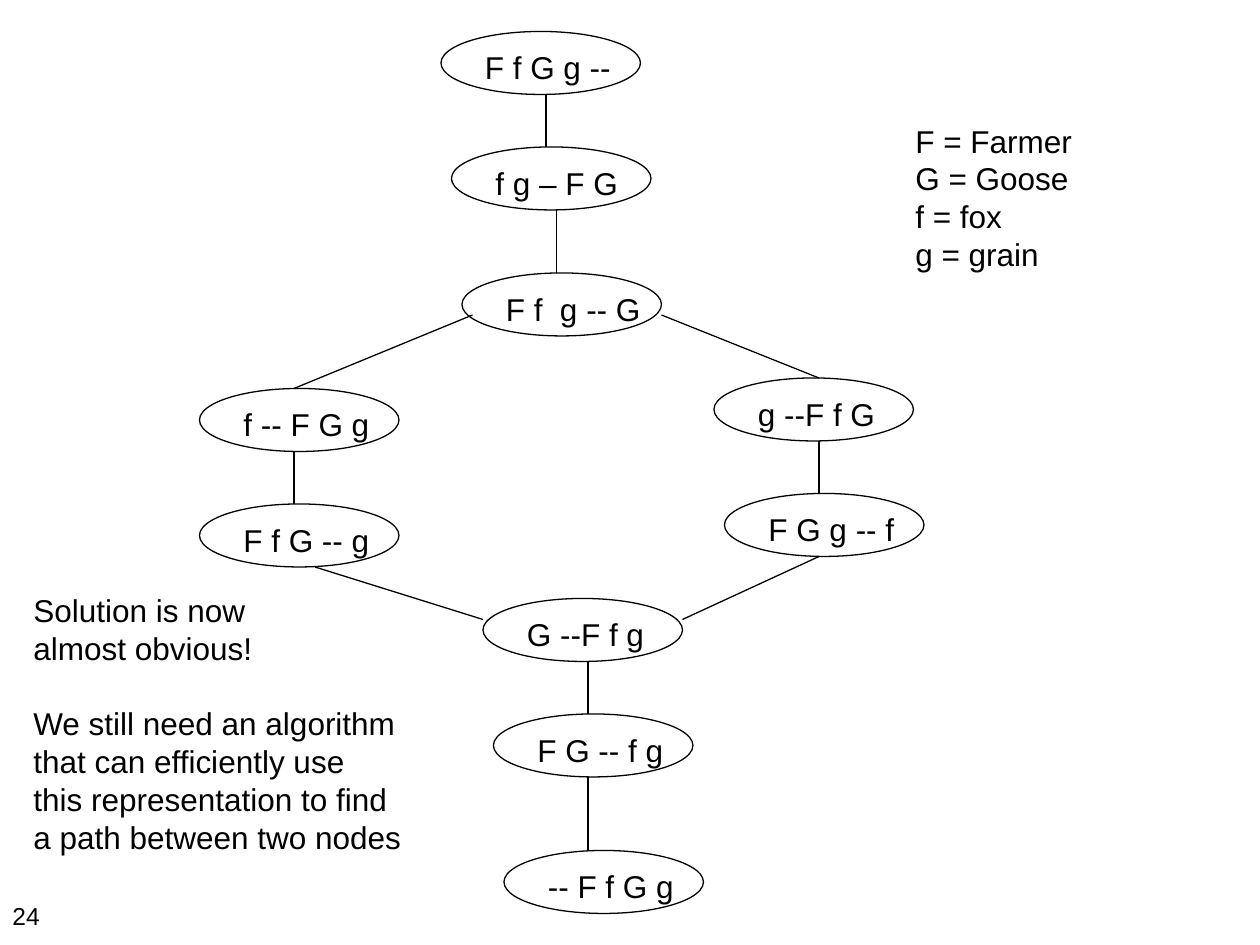
from lxml.etree import SubElement
from pptx import Presentation
from pptx.dml.color import RGBColor
from pptx.enum.shapes import MSO_CONNECTOR, MSO_SHAPE
from pptx.enum.text import MSO_AUTO_SIZE
from pptx.oxml.ns import qn
from pptx.util import Pt

SCALE = 7620


def px(length):
    return length * SCALE


def color(value):
    return RGBColor.from_string(value)


def apply(target, values):
    for name, value in values.items():
        setattr(target, name, value)


class StateGraph:
    ink = "000000"
    font_name = "Arial"
    node_size = (190, 60)
    label_offset = (30, 10)
    label_height = 48

    def __init__(self, slide):
        self.slide = slide

    def outline(self, line):
        line.color.rgb = color(self.ink)
        line.width = Pt(0.75)

    def text(self, left, top, width, height, blocks, size=18, wrap=False, grow=True):
        shape = self.slide.shapes.add_textbox(px(left), px(top), px(width), px(height))
        frame = shape.text_frame
        apply(frame, {
            "word_wrap": wrap,
            "auto_size": MSO_AUTO_SIZE.SHAPE_TO_FIT_TEXT if grow else MSO_AUTO_SIZE.NONE,
        })
        leading = Pt(size * 1.2)
        paragraph = None
        for block in blocks:
            for index, line in enumerate(block):
                new_block = paragraph is not None and index == 0
                paragraph = frame.add_paragraph() if paragraph is not None else frame.paragraphs[0]
                paragraph.text = line
                paragraph.line_spacing = leading
                if new_block:
                    paragraph.space_before = leading
                apply(paragraph.font, {"name": self.font_name, "size": Pt(size)})
                paragraph.font.color.rgb = color(self.ink)

    def node(self, left, top, label, label_width):
        width, height = self.node_size
        shape = self.slide.shapes.add_shape(
            MSO_SHAPE.OVAL, px(left), px(top), px(width), px(height))
        shape.shadow.inherit = False
        shape.fill.background()
        self.outline(shape.line)
        shift_x, shift_y = self.label_offset
        self.text(left + shift_x, top + shift_y, label_width, self.label_height, [[label]])

    def edge(self, *ends):
        connector = self.slide.shapes.add_connector(MSO_CONNECTOR.STRAIGHT, *map(px, ends))
        self.outline(connector.line)
        SubElement(connector._element.spPr, qn("a:effectLst"))


NODES = [
    (420, 30, "F f G g --", 146),
    (430, 140, "f g – F G", 146),
    (440, 260, "F f  g -- G", 154),
    (460, 570, "G --F f g", 138),
    (470, 680, "F G -- f g", 146),
    (480, 810, "-- F f G g", 146),
    (190, 370, "f -- F G g", 152),
    (190, 480, "F f G -- g", 146),
    (680, 360, "g --F f G", 138),
    (690, 470, "F G g -- f", 146),
]
EDGES = [
    (520, 90, 520, 140),
    (530, 200, 530, 260),
    (450, 300, 280, 370),
    (630, 300, 780, 360),
    (280, 430, 280, 480),
    (780, 420, 780, 470),
    (300, 540, 460, 590),
    (780, 530, 650, 590),
    (560, 630, 560, 680),
    (560, 740, 560, 810),
]
LEGEND = [["F = Farmer", "G = Goose", "f = fox", "g = grain"]]
REMARKS = [
    ["Solution is now", "almost obvious!"],
    ["We still need an algorithm", "that can efficiently use",
     "this representation to find", "a path between two nodes"],
]


def main():
    presentation = Presentation()
    apply(presentation, {"slide_width": px(1200), "slide_height": px(900)})
    graph = StateGraph(presentation.slides.add_slide(presentation.slide_layouts[6]))
    for node in NODES:
        graph.node(*node)
    for edge in EDGES:
        graph.edge(*edge)
    graph.text(860, 110, 175, 156, LEGEND)
    graph.text(20, 557, 410, 266, REMARKS, wrap=True)
    graph.text(0, 852, 280, 48, [["24"]], size=14, wrap=True, grow=False)
    presentation.save("out.pptx")


if __name__ == "__main__":
    main()
